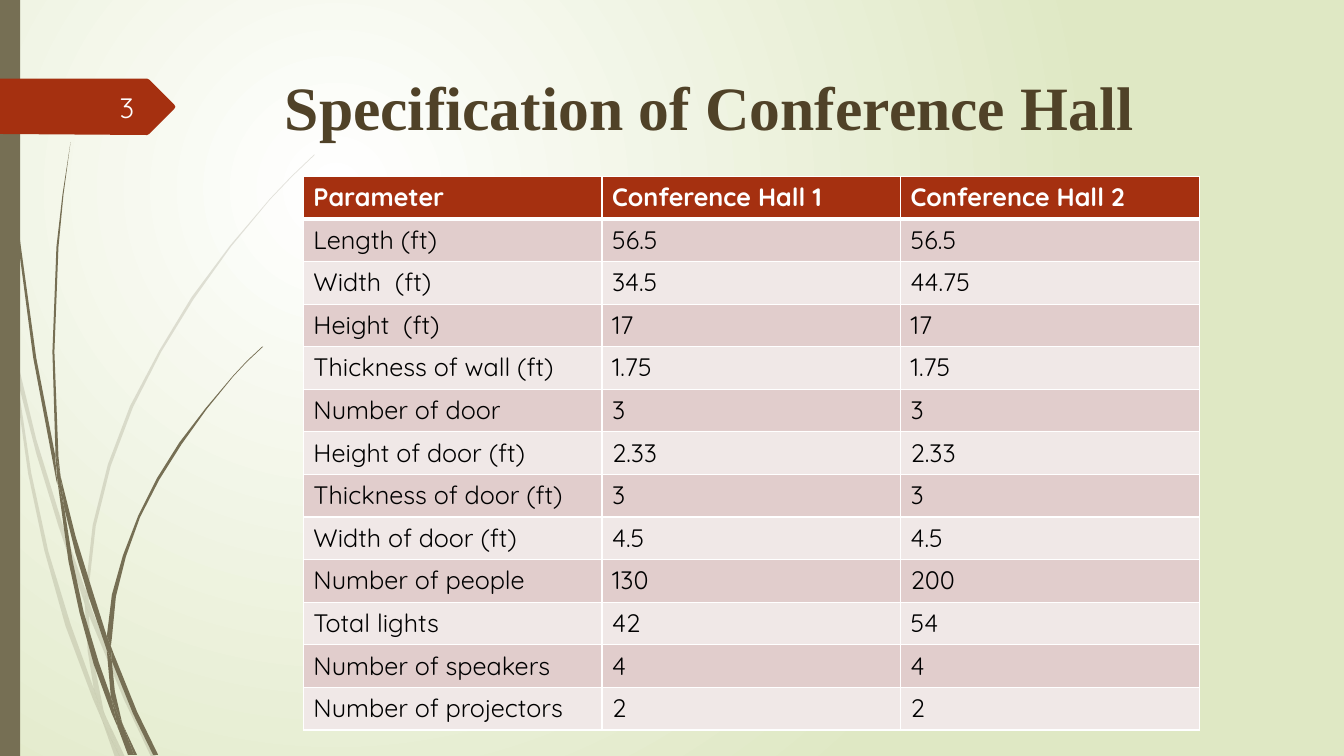
from lxml.etree import SubElement
from pptx import Presentation
from pptx.dml.color import RGBColor
from pptx.enum.shapes import MSO_SHAPE as Preset
from pptx.enum.text import MSO_ANCHOR as Anchor, PP_ALIGN as Align
from pptx.oxml import parse_xml
from pptx.oxml.ns import nsdecls, qn
from pptx.util import Pt

# Colours
WHITE = RGBColor(0xFF, 0xFF, 0xFF)
BLACK = RGBColor(0x00, 0x00, 0x00)
LIME = RGBColor(0xDF, 0xE8, 0xC4)
OLIVE = RGBColor(0x76, 0x6F, 0x54)
RUST = RGBColor(0xA5, 0x30, 0x10)
BROWN = RGBColor(0x50, 0x42, 0x28)
ROSE = RGBColor(0xE1, 0xCD, 0xCC)
PALE_ROSE = RGBColor(0xF0, 0xE8, 0xE7)
PAGE_NUMBER_WHITE = RGBColor(0xFE, 0xFF, 0xFF)

# Text formats
TITLE = dict(size=Pt(44), name="Times New Roman", bold=True)
NUMBER = dict(size=Pt(20), name="Quicksand")
HEADER = dict(size=Pt(18), name="Quicksand", bold=True)
BODY = dict(size=Pt(18), name="Quicksand", bold=False)

# Outlines are drawn on a fine grid, one step being 0.72 pt
GRID = Pt(0.72)

FAINT_GRASS = [
    [(11, 350), (9, 322), (0, 282), (0, 299), (10, 344)],
    [(58, 522), (84, 599), (85, 586), (62, 520), (36, 436), (14, 345),
     (17, 376), (36, 450)],
    [(92, 607), (88, 596), (88, 610), (123, 694), (150, 751), (155, 751),
     (127, 692)],
    [(119, 751), (124, 751), (105, 711)],
    [(93, 683), (70, 619), (48, 547), (31, 469), (17, 376), (11, 350),
     (28, 470), (44, 546), (65, 621), (92, 693), (101, 714), (99, 707)],
    [(84, 599), (87, 646), (93, 683), (96, 692), (105, 711), (103, 706),
     (91, 646), (88, 610), (88, 608)],
    [(88, 584), (95, 522), (110, 462), (132, 404), (160, 349), (192, 297),
     (229, 245), (268, 198), (290, 175), (312, 154), (312, 153), (289, 175),
     (268, 197), (228, 244), (190, 295), (158, 348), (129, 403), (107, 461),
     (92, 521), (85, 584), (85, 586), (88, 596)],
    [(101, 714), (114, 751), (119, 751)],
    [(88, 608), (88, 596), (85, 586), (84, 599)],
    [(96, 692), (93, 683), (99, 707), (101, 714), (119, 751), (105, 711)],
]
DARK_GRASS = [
    [(7, 110), (17, 233), (33, 355), (56, 477), (57, 481), (55, 457),
     (55, 453), (36, 355), (19, 232), (8, 109), (5, 48), (4, 0), (3, 0),
     (4, 48)],
    [(88, 592), (106, 645), (106, 631), (93, 590), (75, 532), (60, 472),
     (64, 505), (75, 549)],
    [(113, 649), (110, 641), (111, 656), (132, 708), (152, 749), (157, 749),
     (136, 706)],
    [(110, 691), (98, 657), (83, 607), (72, 556), (64, 505), (57, 477),
     (68, 557), (79, 608), (93, 659), (111, 708), (117, 722), (116, 717)],
    [(60, 472), (58, 453), (54, 349), (58, 245), (63, 193), (70, 141),
     (62, 193), (56, 245), (52, 349), (55, 449)],
    [(133, 749), (136, 749), (122, 719)],
    [(57, 477), (64, 505), (60, 472), (55, 449), (55, 453)],
    [(111, 633), (115, 592), (125, 552), (139, 513), (158, 476), (180, 441),
     (205, 406), (231, 374), (245, 359), (261, 344), (260, 344), (245, 358),
     (231, 373), (204, 405), (178, 439), (156, 474), (137, 512), (122, 551),
     (111, 590), (106, 631), (110, 641)],
    [(117, 722), (127, 749), (131, 749)],
    [(106, 645), (110, 691), (116, 706), (122, 719), (121, 716), (114, 686),
     (111, 656), (109, 651)],
    [(106, 645), (109, 651), (111, 656), (110, 641), (106, 631)],
    [(116, 706), (110, 691), (116, 717), (117, 722), (130, 749), (133, 749),
     (122, 719)],
]
NUMBER_TAG = [(173, 108), (148, 133), (146, 134), (0, 133), (0, 78),
              (146, 78), (148, 79), (173, 104), (174, 106)]

SPECIFICATION = [
    ("Parameter", "Conference Hall 1", "Conference Hall 2"),
    ("Length (ft)", "56.5", "56.5"),
    ("Width  (ft)", "34.5", "44.75"),
    ("Height  (ft)", "17", "17"),
    ("Thickness of wall (ft)", "1.75", "1.75"),
    ("Number of door", "3", "3"),
    ("Height of door (ft)", "2.33", "2.33"),
    ("Thickness of door (ft)", "3", "3"),
    ("Width of door (ft)", "4.5", "4.5"),
    ("Number of people", "130", "200"),
    ("Total lights", "42", "54"),
    ("Number of speakers", "4", "4"),
    ("Number of projectors", "2", "2"),
]


def paint_background(page):
    fill = page.background.fill
    fill.gradient()
    for stop, color in zip(fill.gradient_stops, (WHITE, LIME)):
        stop.color.rgb = color
    # Swap the linear direction for a circle
    gradient = page.element.find(".//" + qn("a:gradFill"))
    gradient.replace(gradient.find(qn("a:lin")), parse_xml(
        f'<a:path {nsdecls("a")} path="circle"><a:fillToRect l="50000" '
        't="50000" r="100000" b="100000"/></a:path>'))


def paint(shape, color, opacity=100):
    shape.shadow.inherit = False
    shape.line.fill.background()
    shape.fill.solid()
    shape.fill.fore_color.rgb = color
    if opacity < 100:
        tint = shape.element.spPr.find(".//" + qn("a:srgbClr"))
        SubElement(tint, qn("a:alpha"), val=str(opacity * 1000))


def add_outline(page, points, color, opacity=100):
    builder = page.shapes.build_freeform(*points[0], scale=GRID)
    builder.add_line_segments(points[1:], close=True)
    paint(builder.convert_to_shape(), color, opacity)


def write(frame, text, formats, color, align=Align.LEFT):
    para = frame.paragraphs[0]
    para.alignment = align
    span = para.add_run()
    span.text = text
    for key, value in formats.items():
        setattr(span.font, key, value)
    span.font.color.rgb = color


def add_text(page, place, text, formats, color, align, anchor):
    box = page.shapes.add_textbox(*map(Pt, place))
    box.text_frame.word_wrap = True
    box.text_frame.vertical_anchor = anchor
    write(box.text_frame, text, formats, color, align)


def add_borders(cell, widths):
    properties = cell._tc.get_or_add_tcPr()
    for side, width in zip("LRTB", widths):
        properties.append(parse_xml(
            f'<a:ln{side} {nsdecls("a")} w="{Pt(width)}"><a:solidFill>'
            f'<a:srgbClr val="{WHITE}"/></a:solidFill></a:ln{side}>'))


def add_specification(page, left, top, column_width, row_height):
    rows, columns = len(SPECIFICATION), len(SPECIFICATION[0])
    table = page.shapes.add_table(
        rows, columns, Pt(left), Pt(top),
        Pt(column_width * columns), Pt(row_height * rows)).table
    for column in table.columns:
        column.width = Pt(column_width)
    for index, (row, texts) in enumerate(zip(table.rows, SPECIFICATION)):
        row.height = Pt(row_height)
        is_header = index == 0
        band = RUST if is_header else ROSE if index % 2 else PALE_ROSE
        # The rule below the header is heavier
        widths = (1, 1, 3 if index == 1 else 1, 3 if is_header else 1)
        for cell, text in zip(row.cells, texts):
            add_borders(cell, widths)
            cell.fill.solid()
            cell.fill.fore_color.rgb = band
            write(cell.text_frame, text, HEADER if is_header else BODY,
                  WHITE if is_header else BLACK)


def main():
    deck = Presentation()
    deck.slide_width, deck.slide_height = Pt(960), Pt(540)
    page = deck.slides.add_slide(deck.slide_layouts[6])

    # Backdrop with grass, side bar and number tag
    paint_background(page)
    for blade in FAINT_GRASS:
        add_outline(page, blade, OLIVE, opacity=20)
    for blade in DARK_GRASS:
        add_outline(page, blade, OLIVE)
    bar = page.shapes.add_shape(Preset.RECTANGLE, 0, 0, Pt(14.4), Pt(540))
    paint(bar, OLIVE)
    add_outline(page, NUMBER_TAG, RUST)

    # Title, table and page number
    add_text(page, (116, 46, 782, 60.5), "Specification of Conference Hall",
             TITLE, BROWN, Align.CENTER, Anchor.TOP)
    add_specification(page, 216.7, 126, 213.3, 30.42)
    add_text(page, (42, 62, 61, 28.8), "3", NUMBER, PAGE_NUMBER_WHITE,
             Align.RIGHT, Anchor.MIDDLE)

    deck.save("out.pptx")


main()
